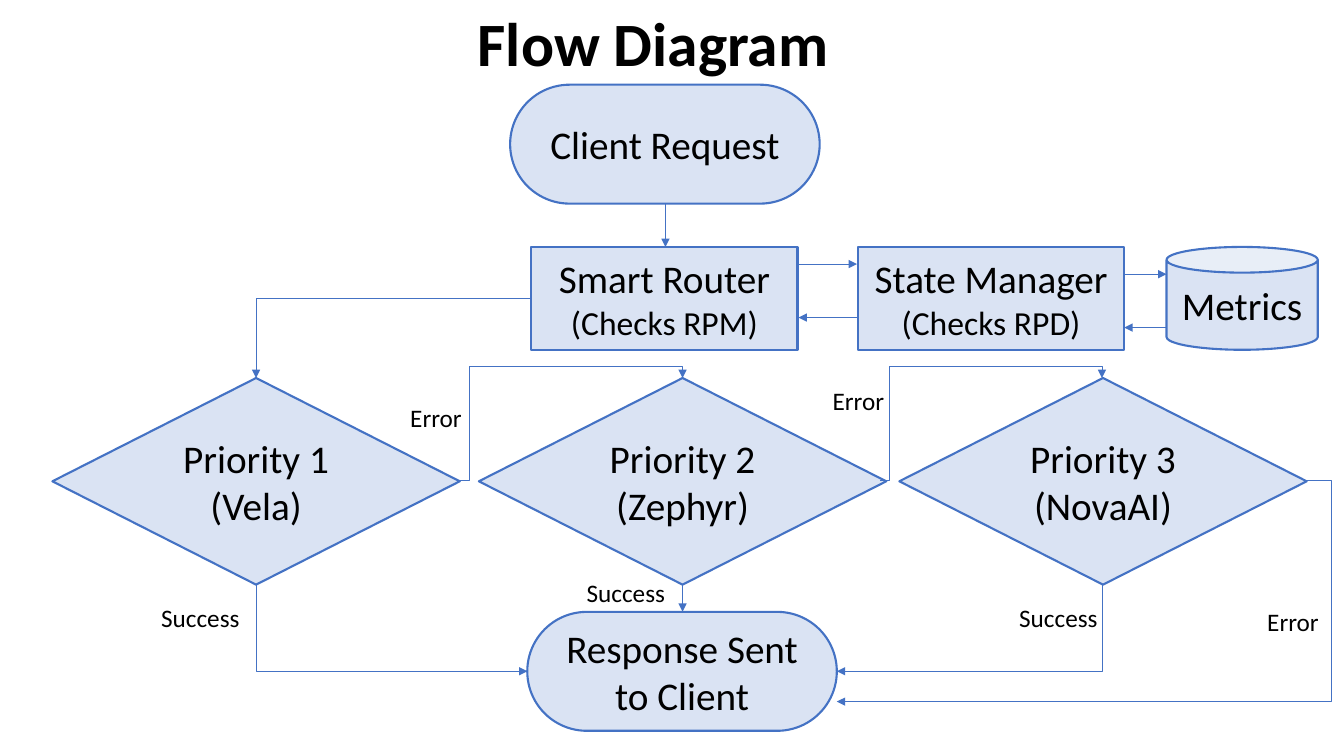
"""Build the flow diagram slide of a request router with three fallback priorities."""
from lxml.etree import SubElement
from pptx import Presentation
from pptx.dml.color import RGBColor
from pptx.enum.shapes import MSO_CONNECTOR, MSO_SHAPE
from pptx.enum.text import MSO_ANCHOR, PP_ALIGN
from pptx.oxml.ns import qn
from pptx.util import Inches, Pt

COLORS = {"fill": "DAE3F3", "line": "4472C4", "text": "000000"}


def write(s, text, size=28, sub_size=None, bold=False,
          align=PP_ALIGN.CENTER, anchor=MSO_ANCHOR.MIDDLE):
    tf = s.text_frame
    tf.word_wrap = True
    tf.vertical_anchor = anchor
    for i, line in enumerate(text.split("\n")):
        p = tf.paragraphs[0] if i == 0 else tf.add_paragraph()
        p.alignment = align
        r = p.add_run()
        r.text = line
        r.font.name = "Calibri"
        r.font.size = Pt(sub_size if i and sub_size else size)
        r.font.bold = bold
        r.font.color.rgb = RGBColor.from_string(COLORS["text"])


def link(x1, y1, x2, y2, geometry="line", adjust=(), down_first=False):
    rotation = 0
    if down_first:
        side = 1 if x2 > x1 else -1
        mid_x, mid_y = (x1 + x2) / 2, (y1 + y2) / 2
        half_w, half_h = (y2 - y1) / 2, abs(x2 - x1) / 2
        x1, x2 = mid_x + side * half_w, mid_x - side * half_w
        y1, y2 = mid_y - half_h, mid_y + half_h
        rotation = 180 + 90 * side
    kind = MSO_CONNECTOR.STRAIGHT if geometry == "line" else MSO_CONNECTOR.ELBOW
    c = slide.shapes.add_connector(kind, Inches(x1), Inches(y1), Inches(x2), Inches(y2))
    c.line.color.rgb = RGBColor.from_string(COLORS["line"])
    c.line.width = Pt(0.5)
    props = c._element.spPr
    if rotation:
        props.find(qn("a:xfrm")).set("rot", str(rotation * 60000))
    preset = props.find(qn("a:prstGeom"))
    preset.set("prst", geometry)
    for child in list(preset):
        preset.remove(child)
    guides = SubElement(preset, qn("a:avLst"))
    for i, value in enumerate(adjust, 1):
        SubElement(guides, qn("a:gd"), name=f"adj{i}", fmla=f"val {round(value * 100000)}")
    SubElement(props.find(qn("a:ln")), qn("a:tailEnd"), type="triangle")
    SubElement(props, qn("a:effectLst"))


prs = Presentation()
prs.slide_width, prs.slide_height = Inches(13.33), Inches(7.5)
slide = prs.slides.add_slide(prs.slide_layouts[6])

title = slide.shapes.add_textbox(Inches(3.29), Inches(0), Inches(6.38), Inches(0.84))
write(title, "Flow Diagram", size=44, bold=True, anchor=MSO_ANCHOR.TOP)

TERMINAL = (MSO_SHAPE.ROUNDED_RECTANGLE, 3.07, 1.18)
PROCESS = (MSO_SHAPE.RECTANGLE, 2.64, 1.02)
DECISION = (MSO_SHAPE.DIAMOND, 4.04, 2.05)
STORE = (MSO_SHAPE.CAN, 1.5, 1.02)
nodes = [
    (TERMINAL, 5.06, 0.84, "Client Request"),
    (PROCESS, 5.27, 2.45, "Smart Router\n(Checks RPM)"),
    (PROCESS, 8.51, 2.45, "State Manager\n(Checks RPD)"),
    (STORE, 11.57, 2.45, "Metrics"),
    (DECISION, 0.52, 3.75, "Priority 1\n(Vela)"),
    (DECISION, 4.75, 3.75, "Priority 2\n(Zephyr)"),
    (DECISION, 8.92, 3.75, "Priority 3\n(NovaAI)"),
    (TERMINAL, 5.23, 6.07, "Response Sent to Client"),
]
for style, left, top, text in nodes:
    kind, width, height = style
    s = slide.shapes.add_shape(kind, Inches(left), Inches(top), Inches(width), Inches(height))
    if style is TERMINAL:
        s.adjustments[0] = 0.5
    s.shadow.inherit = False
    s.fill.solid()
    s.fill.fore_color.rgb = RGBColor.from_string(COLORS["fill"])
    s.line.color.rgb = RGBColor.from_string(COLORS["line"])
    s.line.width = Pt(1.5)
    write(s, text, sub_size=24 if style is PROCESS else None)

straight_links = [
    (6.6, 2.02, 6.6, 2.45),
    (7.92, 2.62, 8.5, 2.62),
    (8.5, 3.15, 7.92, 3.15),
    (11.15, 2.72, 11.57, 2.72),
    (11.57, 3.25, 11.15, 3.25),
    (6.77, 5.8, 6.77, 6.07),
]
for ends in straight_links:
    link(*ends)

link(5.27, 2.96, 2.54, 3.75, "bentConnector2")
for start_x, end_x in [(2.54, 5.23), (10.93, 8.3)]:
    link(start_x, 5.8, end_x, 6.66, "bentConnector2", down_first=True)
for start_x, end_x in [(4.56, 6.77), (8.73, 10.93)]:
    link(start_x, 4.77, end_x, 3.75, "bentConnector4", adjust=(0.043, 1.116))
link(12.95, 4.77, 8.3, 6.96, "bentConnector3", adjust=(-0.054,))

label_widths = {"Success": 0.98, "Error": 0.81}
labels = [
    ("Success", 1.5, 5.93), ("Success", 5.72, 5.68), ("Success", 10.01, 5.93),
    ("Error", 3.97, 3.94), ("Error", 8.16, 3.77), ("Error", 12.47, 5.97),
]
for text, left, top in labels:
    s = slide.shapes.add_textbox(Inches(left), Inches(top), Inches(label_widths[text]), Inches(0.4))
    write(s, text, size=18, align=PP_ALIGN.LEFT, anchor=MSO_ANCHOR.TOP)

prs.save("out.pptx")
